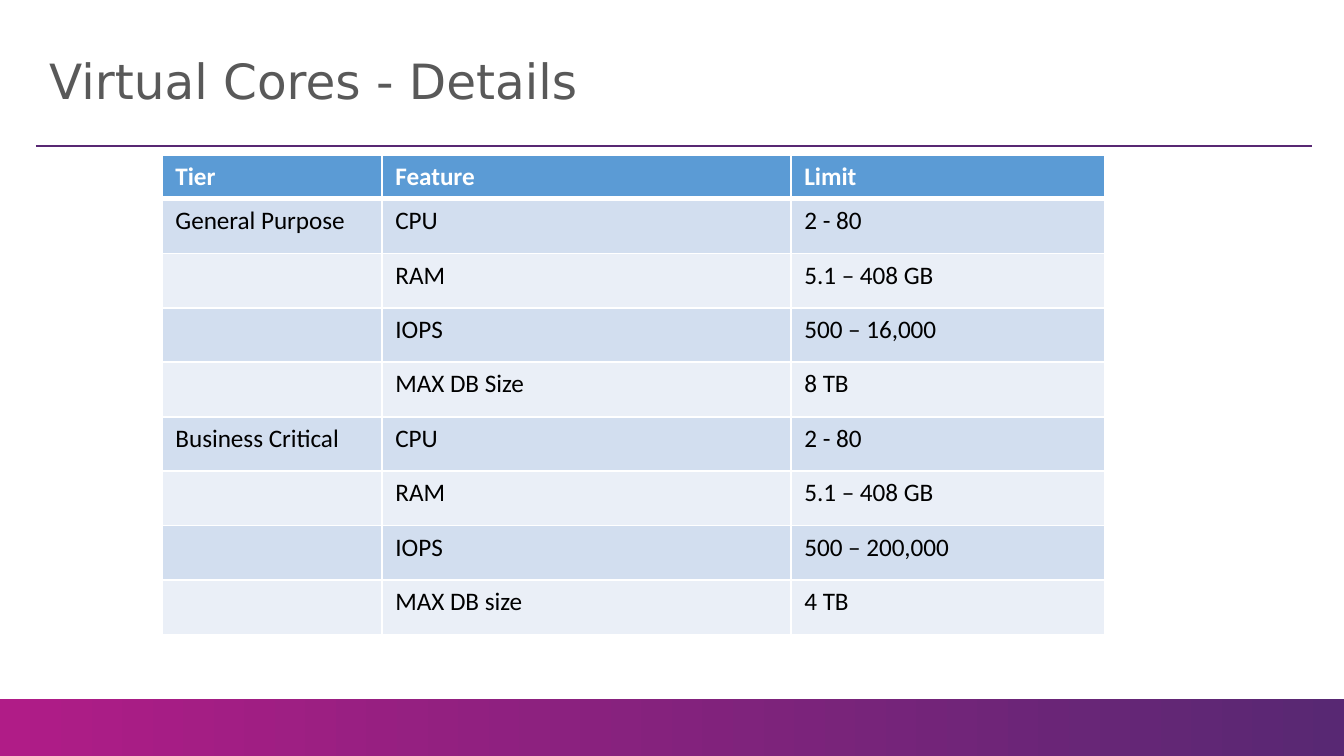
from lxml import etree
from pptx import Presentation
from pptx import util as u
from pptx.dml.color import RGBColor
from pptx.enum import shapes, text
from pptx.oxml.ns import qn

PX = 9144000 / 1344
WHITE = RGBColor(0xFF, 0xFF, 0xFF)
BLACK = RGBColor(0, 0, 0)
GREY = RGBColor(0x59, 0x59, 0x59)
MAGENTA = RGBColor(0xB0, 0x1C, 0x87)
PURPLE = RGBColor(0x58, 0x28, 0x73)
BLUE = RGBColor(0x5B, 0x9B, 0xD5)
BANDS = (RGBColor(0xD2, 0xDE, 0xEF), RGBColor(0xEA, 0xEF, 0xF7))

COLUMNS = (220, 409, 314)
HEADER_HEIGHT = 44
ROWS = (
    ("Tier", "Feature", "Limit"),
    ("General Purpose", "CPU", "2 - 80"),
    ("", "RAM", "5.1 – 408 GB"),
    ("", "IOPS", "500 – 16,000"),
    ("", "MAX DB Size", "8 TB"),
    ("Business Critical", "CPU", "2 - 80"),
    ("", "RAM", "5.1 – 408 GB"),
    ("", "IOPS", "500 – 200,000"),
    ("", "MAX DB size", "4 TB"),
)


def px(n):
    """Turn pixels into EMU."""
    return u.Emu(round(n * PX))


def add_text(p, words, color, **formats):
    """Add a coloured run with the given font values."""
    r = p.add_run()
    r.text = words
    for name, value in formats.items():
        setattr(r.font, name, value)
    r.font.color.rgb = color


def add_footer(s, x, y, w, h):
    """Draw the gradient band."""
    sp = s.shapes.add_shape(shapes.MSO_SHAPE.RECTANGLE, px(x), px(y), px(w), px(h))
    sp.shadow.inherit = False
    sp.line.fill.background()
    sp.fill.gradient()
    sp.fill.gradient_angle = 0
    for stop, color in zip(sp.fill.gradient_stops, (MAGENTA, PURPLE)):
        stop.color.rgb = color


def add_heading(s, x, y, w, h):
    """Place the title with the rule below it."""
    rule_y = px(y + h + 12)
    rule = s.shapes.add_connector(
        shapes.MSO_CONNECTOR.STRAIGHT, px(x), rule_y, px(x + w), rule_y)
    rule.line.color.rgb = PURPLE
    rule.line.width = u.Pt(1)
    etree.SubElement(rule._element.spPr, qn("a:effectLst"))
    tf = s.shapes.add_textbox(px(x), px(y), px(w), px(h)).text_frame
    tf.word_wrap = True
    tf.vertical_anchor = text.MSO_ANCHOR.MIDDLE
    p = tf.paragraphs[0]
    p.line_spacing = 0.9
    add_text(p, "Virtual Cores - Details", GREY, name="DejaVu Sans", size=u.Pt(26))


def set_borders(cell, widths):
    """Give a cell white borders, widths in points by side."""
    tc_pr = cell._tc.get_or_add_tcPr()
    for i, (side, width) in enumerate(widths.items()):
        ln = etree.Element(qn(f"a:ln{side}"), w=str(u.Pt(width)))
        fill = etree.SubElement(ln, qn("a:solidFill"))
        etree.SubElement(fill, qn("a:srgbClr"), val=str(WHITE))
        tc_pr.insert(i, ln)


def add_limits_table(s, x, y, w, h):
    """Build the table of tier limits."""
    table = s.shapes.add_table(
        len(ROWS), len(COLUMNS), px(x), px(y), px(w), px(h)).table
    for col, width in zip(table.columns, COLUMNS):
        col.width = px(width * w / sum(COLUMNS))
    body_height = px((h - HEADER_HEIGHT) / (len(ROWS) - 1))
    for i, values in enumerate(ROWS):
        header = i == 0
        table.rows[i].height = px(HEADER_HEIGHT) if header else body_height
        widths = {"L": 1, "R": 1, "T": 3 if i == 1 else 1, "B": 3 if header else 1}
        for j, value in enumerate(values):
            cell = table.cell(i, j)
            cell.fill.solid()
            cell.fill.fore_color.rgb = BLUE if header else BANDS[(i - 1) % 2]
            set_borders(cell, widths)
            if value:
                add_text(cell.text_frame.paragraphs[0], value,
                         WHITE if header else BLACK,
                         name="Calibri", size=u.Pt(13.5), bold=header)


def main():
    """Build and save the slide."""
    prs = Presentation()
    prs.slide_width, prs.slide_height = px(1344), px(756)
    s = prs.slides.add_slide(prs.slide_layouts[6])
    add_footer(s, 0, 699, 1344, 57)
    add_heading(s, 36, 33, 1276, 101)
    add_limits_table(s, 162, 155, 943, 480)
    prs.save("out.pptx")


if __name__ == "__main__":
    main()
